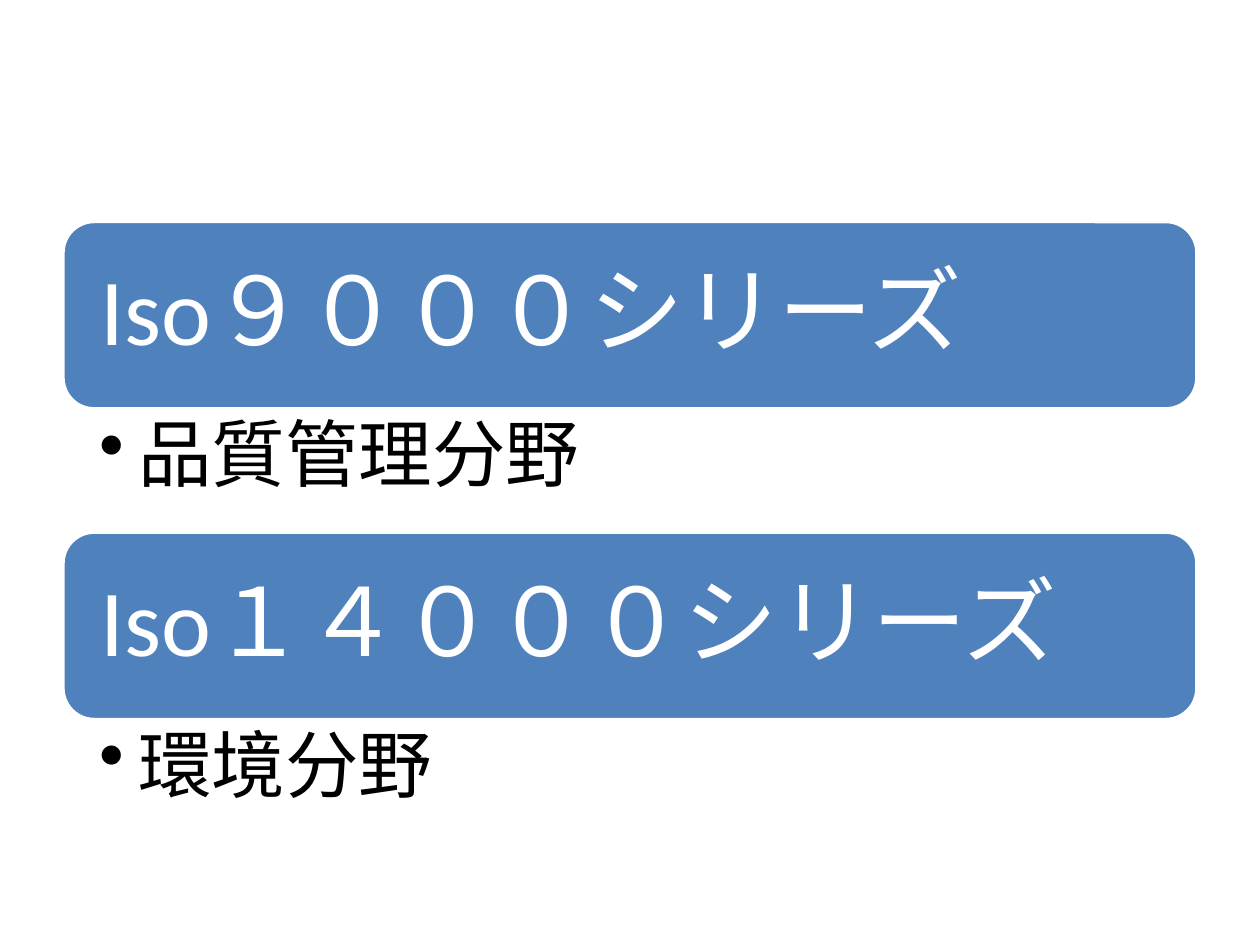
"""Build a slide of two ISO series, each with its field."""
from pptx import Presentation
from pptx.dml.color import RGBColor
from pptx.enum.shapes import MSO_SHAPE as Shape
from pptx.enum.text import MSO_ANCHOR as Anchor
from pptx.oxml.ns import qn
from pptx.util import Pt
from lxml.etree import SubElement

SERIES = [
    ("Iso９０００シリーズ", "品質管理分野"),
    ("Iso１４０００シリーズ", "環境分野"),
]
BLUE = RGBColor(0x4F, 0x81, 0xBD)
WHITE = RGBColor(0xFF, 0xFF, 0xFF)
BLACK = RGBColor(0, 0, 0)
FONT = "Calibri"
LEFT, TOP, WIDTH = 36, 126.6, 648
BAR, FIELD = 107.1, 70.4
EDGE = 5.25


def add_text(slide, box, text, *, size, color, pads, after,
             anchor=Anchor.TOP, bullet=None, indent=0):
    frame = slide.shapes.add_textbox(*map(Pt, box)).text_frame
    frame.word_wrap = True
    frame.vertical_anchor = anchor
    (frame.margin_left, frame.margin_top,
     frame.margin_right, frame.margin_bottom) = map(Pt, pads)
    para = frame.paragraphs[0]
    para.line_spacing = 0.9
    para.space_after = Pt(size * after)
    run = para.add_run()
    run.text = text
    run.font.name = FONT
    run.font.size = Pt(size)
    run.font.color.rgb = color
    if bullet:
        para.level = 1
        props = para._p.get_or_add_pPr()
        props.set("marL", str(Pt(indent)))
        props.set("indent", str(-Pt(indent)))
        SubElement(props, qn("a:buChar"), char=bullet)


def add_bar(slide, top):
    bar = slide.shapes.add_shape(
        Shape.ROUNDED_RECTANGLE, Pt(LEFT), Pt(top), Pt(WIDTH), Pt(BAR))
    bar.shadow.inherit = False
    bar.fill.solid()
    bar.fill.fore_color.rgb = BLUE
    bar.line.color.rgb = WHITE
    bar.line.width = Pt(2)


def main():
    deck = Presentation()
    deck.slide_width, deck.slide_height = Pt(720), Pt(540)
    slide = deck.slides.add_slide(deck.slide_layouts[6])
    for row, (name, field) in enumerate(SERIES):
        top = TOP + row * (BAR + FIELD)
        add_bar(slide, top)
        inner = (LEFT + EDGE, top + EDGE, WIDTH - 2 * EDGE, BAR - 2 * EDGE)
        add_text(slide, inner, name, size=54, color=WHITE,
                 pads=(16.2,) * 4, after=0.35, anchor=Anchor.MIDDLE)
        add_text(slide, (LEFT, top + BAR, WIDTH, FIELD), field,
                 size=42, color=BLACK, pads=(20.6, 5.3, 30, 5.3),
                 after=0.2, bullet="•", indent=22.5)
    deck.save("out.pptx")


if __name__ == "__main__":
    main()
